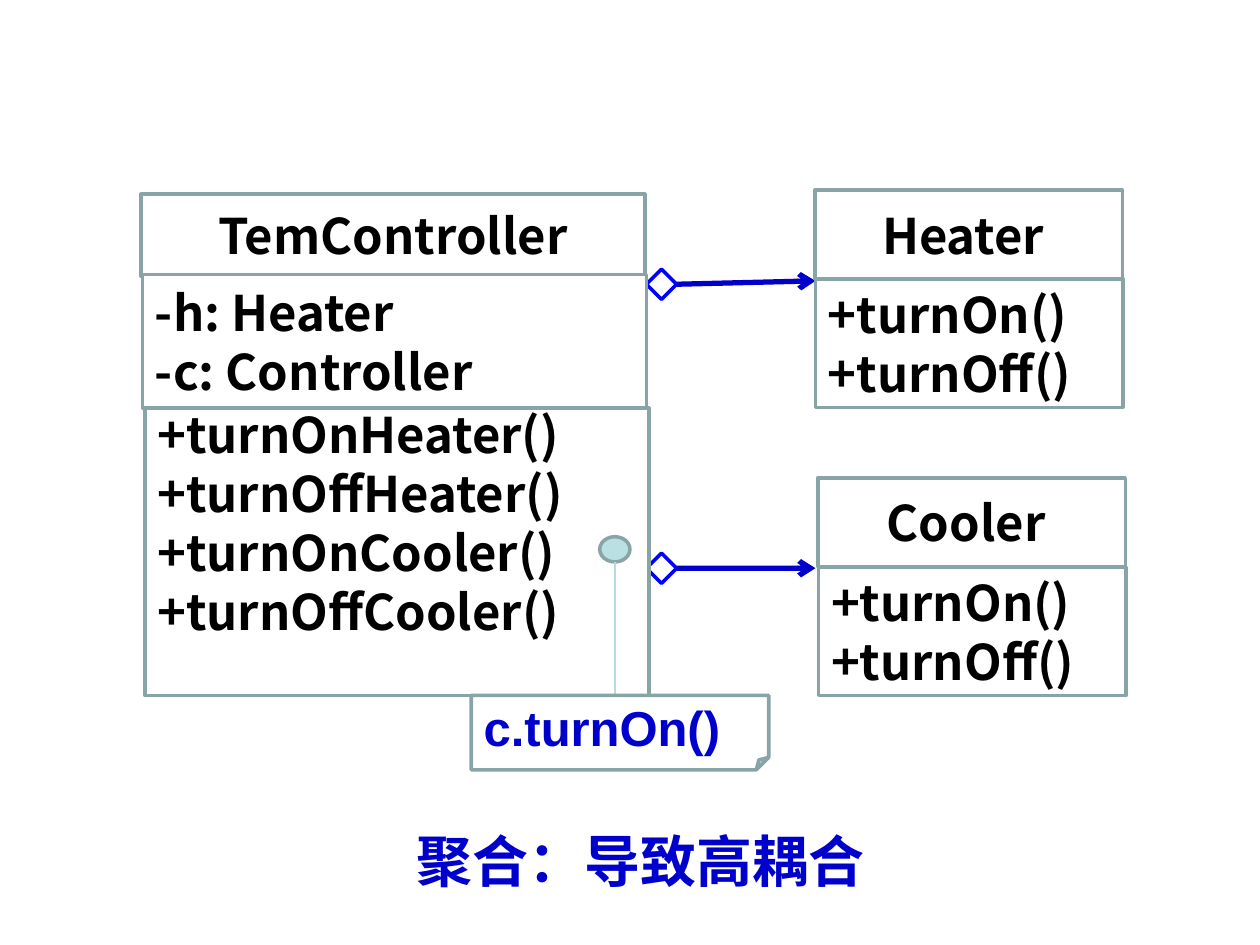
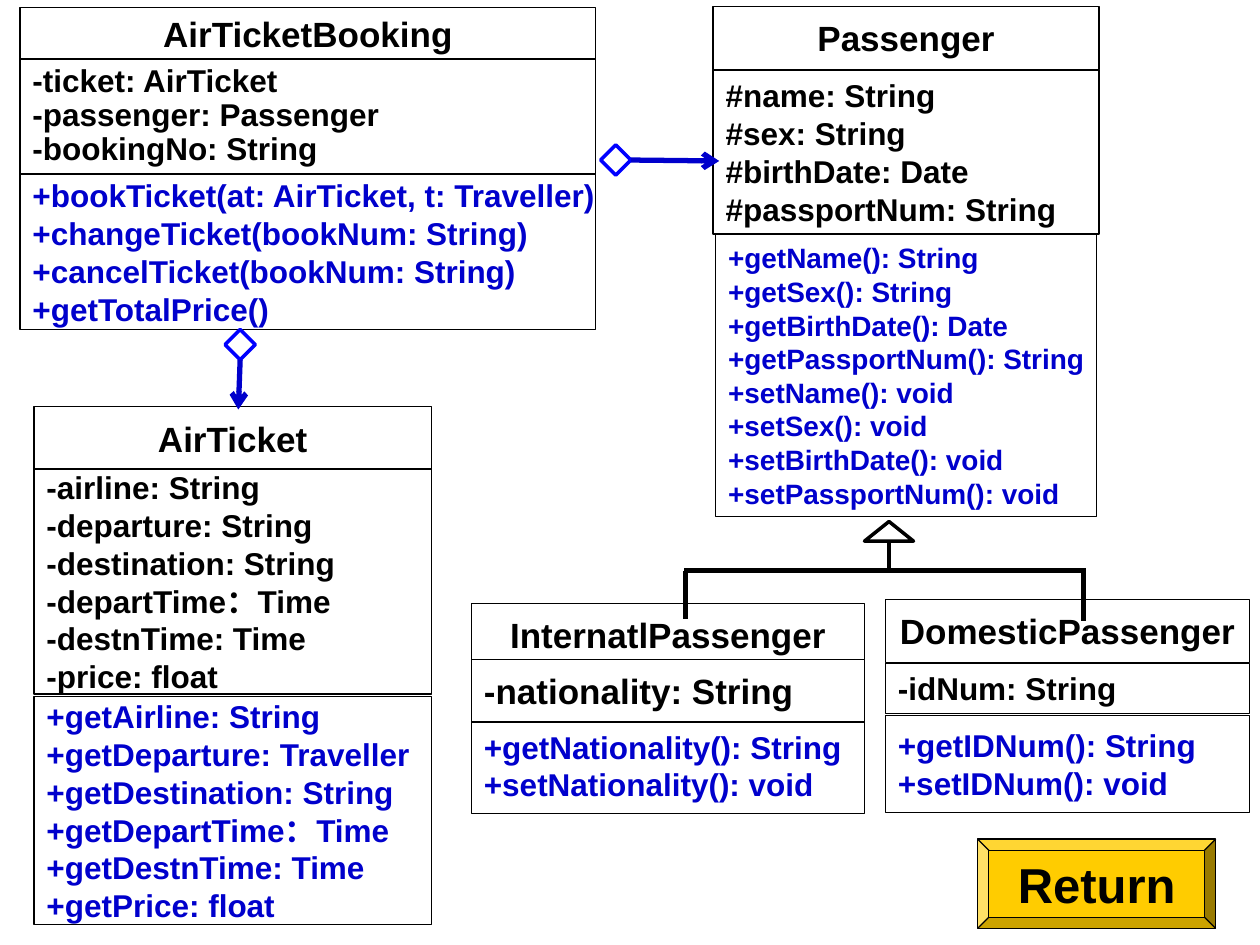
"""Build two class-diagram slides: temperature control and air ticket booking."""
from dataclasses import dataclass
from lxml.etree import SubElement
from pptx import Presentation
from pptx.dml.color import RGBColor
from pptx.enum.shapes import MSO_CONNECTOR as LINE, MSO_SHAPE as SHAPE
from pptx.enum.text import MSO_ANCHOR as ANCHOR, PP_ALIGN as ALIGN
from pptx.oxml.ns import qn
from pptx.util import Pt


@dataclass(frozen=True)
class Theme:
    """Colours, fonts, type sizes and line widths of the deck."""
    black: str = "000000"
    white: str = "FFFFFF"
    blue: str = "0000CC"
    bright: str = "0000FF"
    slate: str = "89A4A7"
    mint: str = "BBE0E3"
    pale: str = "B6DCDF"
    gold: str = "FFCC00"
    latin: str = "Arial"
    cjk: str = "Noto Sans CJK SC"
    caption: int = 32
    large: int = 28
    heading: int = 20
    member: int = 18
    small: int = 16
    thin: float = 0.75
    medium: float = 2
    thick: float = 3


@dataclass(frozen=True)
class Compartment:
    """One box of a class: its role, place, lines and exceptions."""
    role: str
    box: tuple
    lines: tuple
    size: int = 0
    spacing: float = 1.0
    spare: float = 0


THEME = Theme()
DIAMOND = 17.3
NAME, FIELDS, METHODS = "name", "fields", "methods"

CONTROL_STYLE = {
    role: dict(size=THEME.large, color=THEME.black, font=THEME.cjk, outline=THEME.slate,
               width=THEME.medium, wrap=True)
    for role in (NAME, FIELDS, METHODS)
}
BOOKING_STYLE = {
    role: dict(size=size, color=color, font=THEME.latin, outline=THEME.black,
               width=THEME.thin, wrap=False)
    for role, size, color in ((NAME, THEME.heading, THEME.black),
                              (FIELDS, THEME.member, THEME.black),
                              (METHODS, THEME.member, THEME.blue))
}

SWITCHES = ("+turnOn()", "+turnOff()")
CONTROL_CLASSES = [
    Compartment(NAME, (80.5, 111, 288, 46.8), ("TemController",)),
    Compartment(FIELDS, (81.5, 157, 288, 76.3), ("-h: Heater", "-c: Controller")),
    Compartment(METHODS, (82.8, 233.3, 288, 164.2),
                ("+turnOnHeater()", "+turnOffHeater()", "+turnOnCooler()", "+turnOffCooler()"),
                spare=33.5),
    Compartment(NAME, (465.7, 108.5, 175.7, 51), ("Heater ",)),
    Compartment(METHODS, (466, 159.3, 175.7, 73.5), SWITCHES),
    Compartment(NAME, (467.4, 273, 175.7, 51), ("Cooler ",)),
    Compartment(METHODS, (467.8, 324, 175.7, 73.5), SWITCHES),
]
CONTROL_LINKS = [
    ((369.4, 153.8), 3, (466, 160.5)),
    ((369.4, 316.1), 3, (466, 324.7)),
]
CALL_NOTE = "c.turnOn()"
CAPTION = "聚合：导致高耦合"

BOOKING_CLASSES = [
    Compartment(NAME, (407.5, 3.6, 220.5, 36), ("Passenger",)),
    Compartment(METHODS, (409, 134, 217.5, 161),
                ("+getName(): String", "+getSex(): String", "+getBirthDate(): Date",
                 "+getPassportNum(): String", "+setName(): void", "+setSex(): void",
                 "+setBirthDate(): void", "+setPassportNum(): void"), size=THEME.small),
    Compartment(FIELDS, (407.5, 40, 220.5, 93.8),
                ("#name: String", "#sex: String", "#birthDate: Date", "#passportNum: String")),
    Compartment(NAME, (11.5, 4.3, 329, 29.5), ("AirTicketBooking",)),
    Compartment(METHODS, (11.5, 99.5, 329, 89),
                ("+bookTicket(at: AirTicket, t: Traveller)", "+changeTicket(bookNum: String)",
                 "+cancelTicket(bookNum: String)", "+getTotalPrice()")),
    Compartment(FIELDS, (11.5, 33.8, 329, 65.7),
                ("-ticket: AirTicket", "-passenger: Passenger", "-bookingNo: String"),
                spacing=0.9),
    Compartment(NAME, (19.5, 232.5, 227, 36), ("AirTicket",)),
    Compartment(METHODS, (19.5, 398, 227, 130.5),
                ("+getAirline: String", "+getDeparture: Traveller", "+getDestination: String",
                 "+getDepartTime：Time", "+getDestnTime: Time", "+getPrice: float")),
    Compartment(FIELDS, (19.5, 268, 227, 128.7),
                ("-airline: String", "-departure: String", "-destination: String",
                 "-departTime：Time", "-destnTime: Time", "-price: float")),
    Compartment(NAME, (506, 342.5, 208, 36), ("DomesticPassenger",)),
    Compartment(METHODS, (506, 408.7, 208, 55.8), ("+getIDNum(): String", "+setIDNum(): void")),
    Compartment(FIELDS, (506, 379, 208, 28.8), ("-idNum: String",)),
    Compartment(NAME, (269.4, 344.7, 224.6, 36), ("InternatlPassenger",)),
    Compartment(METHODS, (269.4, 410, 224.6, 54.7),
                ("+getNationality(): String", "+setNationality(): void")),
    Compartment(FIELDS, (269.4, 376.7, 224.6, 36), ("-nationality: String",), size=THEME.heading),
]
BOOKING_LINKS = [
    ((343.2, 82.8), 3, (411, 92)),
    ((128.6, 188.3), 2, (136.2, 234)),
]
BRANCH_Y = 326.2
INHERITANCE = [
    ((391, BRANCH_Y), (620.6, BRANCH_Y)),
    ((391.7, BRANCH_Y), (391.7, 353.5)),
    ((619.2, BRANCH_Y), (619.2, 355)),
]
RETURN = "Return"


def points(values):
    """Turn numbers into lengths."""
    return [Pt(value) for value in values]


def set_all(target, **values):
    """Set each given attribute on the target."""
    for key, value in values.items():
        setattr(target, key, value)


def set_line(line, color, width):
    """Colour a line and set its width."""
    line.color.rgb = RGBColor.from_string(color)
    line.width = Pt(width)


def write(shape, lines, size, color, font, align=ALIGN.LEFT, anchor=ANCHOR.MIDDLE,
          wrap=True, spacing=1.0, spare=0):
    """Write bold lines into a shape, keeping spare room at the bottom."""
    frame = shape.text_frame
    set_all(frame, word_wrap=wrap, vertical_anchor=anchor, margin_left=Pt(7.2),
            margin_right=Pt(7.2), margin_top=Pt(3.6), margin_bottom=Pt(3.6 + spare))
    for index, line in enumerate(lines):
        paragraph = frame.paragraphs[0] if index == 0 else frame.add_paragraph()
        paragraph.alignment = align
        if spacing != 1:
            paragraph.line_spacing = spacing
        run = paragraph.add_run()
        run.text = line
        set_all(run.font, name=font, size=Pt(size), bold=True)
        run.font.color.rgb = RGBColor.from_string(color)
        if font == THEME.cjk:
            SubElement(run.font._element, qn("a:ea"), typeface=font)


def add_figure(slide, kind, box, outline, width, fill=THEME.white):
    """Add a flat preset shape; no fill colour leaves it open."""
    figure = slide.shapes.add_shape(kind, *points(box))
    figure.shadow.inherit = False
    if fill:
        figure.fill.solid()
        figure.fill.fore_color.rgb = RGBColor.from_string(fill)
    else:
        figure.fill.background()
    set_line(figure.line, outline, width)
    return figure


def add_line(slide, start, end, color, width):
    """Add a straight connector without shadow."""
    line = slide.shapes.add_connector(LINE.STRAIGHT, *points(start + end))
    set_line(line.line, color, width)
    SubElement(line._element.spPr, qn("a:effectLst"))
    return line


def add_classes(slide, compartments, style):
    """Draw the compartments of all classes in one style."""
    for part in compartments:
        look = style[part.role]
        box = add_figure(slide, SHAPE.RECTANGLE, part.box, look["outline"], look["width"])
        write(box, part.lines, part.size or look["size"], look["color"], look["font"],
              ALIGN.CENTER if part.role == NAME else ALIGN.LEFT, wrap=look["wrap"],
              spacing=part.spacing, spare=part.spare)


def add_aggregations(slide, links):
    """Draw each diamond and the arrow that leaves its given side."""
    for corner, side, end in links:
        diamond = add_figure(slide, SHAPE.DIAMOND, corner + (DIAMOND, DIAMOND),
                             THEME.bright, THEME.medium)
        arrow = add_line(slide, corner, end, THEME.blue, THEME.thick)
        arrow.begin_connect(diamond, side)
        SubElement(arrow.line._get_or_add_ln(), qn("a:tailEnd"), type="arrow")


def build_control(slide):
    """Temperature controller aggregating heater and cooler."""
    add_aggregations(slide, CONTROL_LINKS)
    add_classes(slide, CONTROL_CLASSES, CONTROL_STYLE)
    add_figure(slide, SHAPE.OVAL, (342.7, 306.7, 17.3, 14.4), THEME.slate, THEME.medium, THEME.mint)
    add_line(slide, (351.4, 321.1), (351.4, 397.4), THEME.pale, THEME.thin)
    note = add_figure(slide, SHAPE.FOLDED_CORNER, (269.3, 397.4, 170, 42.5),
                      THEME.slate, THEME.medium)
    write(note, [CALL_NOTE], THEME.large, THEME.blue, THEME.latin)
    caption = slide.shapes.add_textbox(*points((201.6, 468.7, 329, 46)))
    write(caption, [CAPTION], THEME.caption, THEME.blue, THEME.cjk, ALIGN.CENTER, ANCHOR.TOP)


def build_booking(slide):
    """Ticket booking with its passenger hierarchy."""
    add_classes(slide, BOOKING_CLASSES, BOOKING_STYLE)
    for start, end in INHERITANCE:
        add_line(slide, start, end, THEME.black, THEME.thick)
    parent = add_figure(slide, SHAPE.DOWN_ARROW, (494, 298, 28, 28), THEME.black,
                        THEME.medium, fill=None)
    parent.rotation = 180
    parent.adjustments[0], parent.adjustments[1] = 0, 0.4
    add_aggregations(slide, BOOKING_LINKS)
    button = add_figure(slide, SHAPE.BEVEL, (558.7, 479.5, 136, 51), THEME.black,
                        THEME.thin, THEME.gold)
    write(button, [RETURN], THEME.large, THEME.black, THEME.latin, ALIGN.CENTER, wrap=False)


def main():
    """Build and save the deck."""
    deck = Presentation()
    set_all(deck, slide_width=Pt(720), slide_height=Pt(540))
    for build in (build_control, build_booking):
        build(deck.slides.add_slide(deck.slide_layouts[6]))
    deck.save("out.pptx")


if __name__ == "__main__":
    main()
